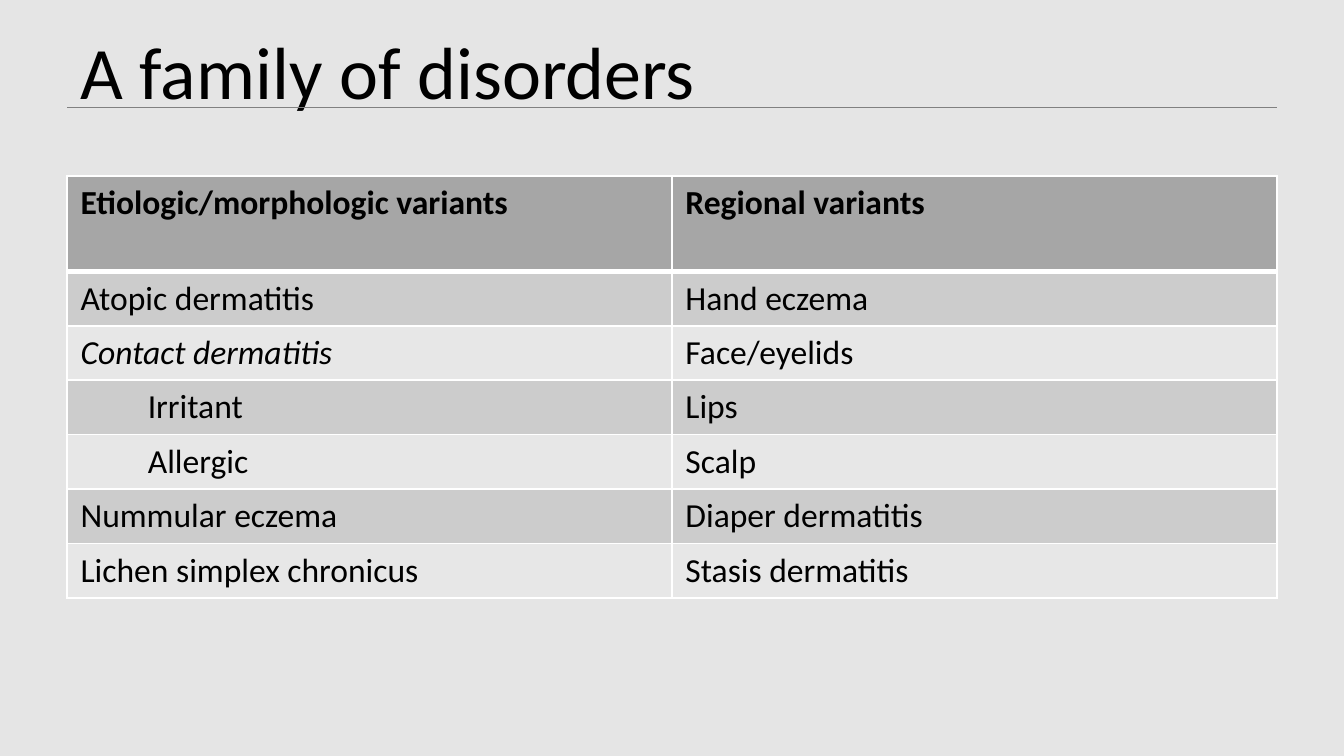
from lxml.etree import SubElement
from pptx import Presentation
from pptx.dml.color import RGBColor
from pptx.enum.shapes import MSO_CONNECTOR
from pptx.enum.text import MSO_ANCHOR
from pptx.oxml import parse_xml
from pptx.oxml.ns import nsdecls, qn
from pptx.util import Inches, Pt

BACKGROUND = RGBColor(0xE5, 0xE5, 0xE5)
BLACK = RGBColor(0x00, 0x00, 0x00)
RULE = RGBColor(0x80, 0x80, 0x80)
HEADER = RGBColor(0xA6, 0xA6, 0xA6)
BANDS = [RGBColor(0xE7, 0xE7, 0xE7), RGBColor(0xCC, 0xCC, 0xCC)]
BORDER = RGBColor(0xFF, 0xFF, 0xFF)

ROWS = [
    ("Etiologic/morphologic variants", "Regional variants"),
    ("Atopic dermatitis", "Hand eczema"),
    ("Contact dermatitis", "Face/eyelids"),
    ("Irritant", "Lips"),
    ("Allergic", "Scalp"),
    ("Nummular eczema", "Diaper dermatitis"),
    ("Lichen simplex chronicus", "Stasis dermatitis"),
]
SUBTYPES = ("Irritant", "Allergic")
TABLE_HEIGHT = 3.14
HEADER_HEIGHT = 0.71
ROW_HEIGHT = (TABLE_HEIGHT - HEADER_HEIGHT) / (len(ROWS) - 1)


def add_run(p, text, size):
    r = p.add_run()
    r.text = text
    r.font.name = "Calibri"
    r.font.size = Pt(size)
    r.font.color.rgb = BLACK
    return r


def set_borders(cell, top, bottom):
    tcPr = cell._tc.get_or_add_tcPr()
    sides = [("lnL", 1), ("lnR", 1), ("lnT", top), ("lnB", bottom)]
    for i, (side, width) in enumerate(sides):
        tcPr.insert(i, parse_xml(
            f'<a:{side} {nsdecls("a")} w="{Pt(width)}"><a:solidFill>'
            f'<a:srgbClr val="{BORDER}"/></a:solidFill></a:{side}>'))


prs = Presentation()
prs.slide_width = Inches(10)
prs.slide_height = Inches(10 * 9 / 16)
s = prs.slides.add_slide(prs.slide_layouts[6])
s.background.fill.solid()
s.background.fill.fore_color.rgb = BACKGROUND

title = s.shapes.add_textbox(Inches(0.5), Inches(0.23), Inches(9), Inches(0.58))
tf = title.text_frame
tf.word_wrap = True
tf.vertical_anchor = MSO_ANCHOR.MIDDLE
add_run(tf.paragraphs[0], "A family of disorders", 39.6)

rule = s.shapes.add_connector(
    MSO_CONNECTOR.STRAIGHT, Inches(0.5), Inches(0.8), Inches(9.5), Inches(0.8))
rule.line.color.rgb = RULE
rule.line.width = Pt(1)
SubElement(rule._element.spPr, qn("a:effectLst"))

table = s.shapes.add_table(
    len(ROWS), 2, Inches(0.5), Inches(1.31), Inches(9), Inches(TABLE_HEIGHT)).table
for i, row in enumerate(ROWS):
    table.rows[i].height = Inches(ROW_HEIGHT if i else HEADER_HEIGHT)
    for j, text in enumerate(row):
        cell = table.cell(i, j)
        cell.fill.solid()
        cell.fill.fore_color.rgb = BANDS[i % 2] if i else HEADER
        set_borders(cell, 3 if i == 1 else 1, 1 if i else 3)
        p = cell.text_frame.paragraphs[0]
        if text in SUBTYPES:
            p.level = 1
            p._p.get_or_add_pPr().set("marL", str(Inches(0.5)))
        r = add_run(p, text, 18)
        r.font.bold = i == 0
        r.font.italic = text == "Contact dermatitis"

prs.save("out.pptx")
